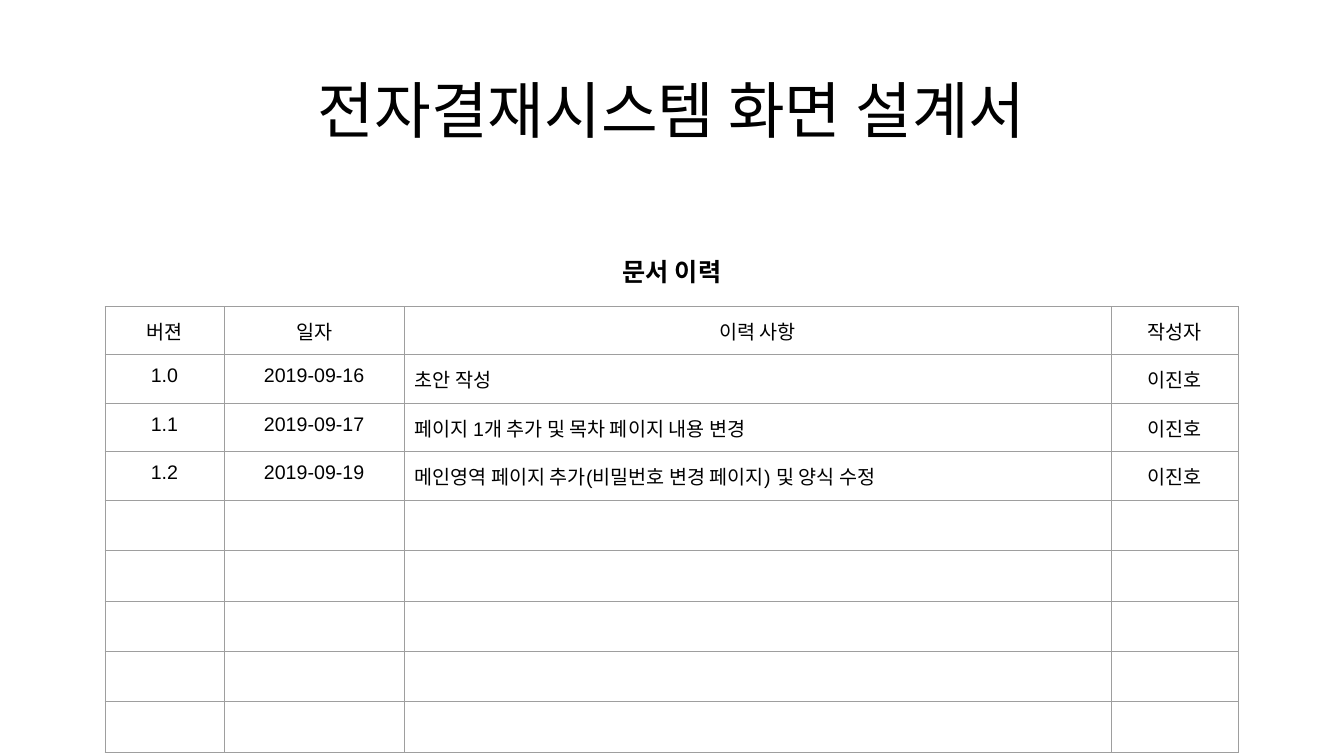
"""Build the cover slide of a screen design document with its history table."""
from dataclasses import dataclass

from lxml import etree
from pptx import Presentation
from pptx import util as u
from pptx.dml.color import RGBColor
from pptx.enum import text
from pptx.oxml import ns

BLACK = RGBColor(0x00, 0x00, 0x00)
WHITE = RGBColor(0xFF, 0xFF, 0xFF)
GREY = RGBColor(0x9E, 0x9E, 0x9E)
SANS = "Noto Sans CJK KR"
LATIN = "Arial"
CENTER = text.PP_ALIGN.CENTER
LEFT = text.PP_ALIGN.LEFT
WIDTHS = (85, 128.9, 504.7, 91.4)
ROW = 34.6
ROWS = 9
PAD = 7.2


@dataclass
class Label:
    words: str
    left: float
    top: float
    width: float
    height: float
    size: float
    pad: float = PAD
    bold: bool = False
    lead: float = 1.0


@dataclass
class Entry:
    version: str
    date: str
    note: str
    author: str

    def cells(self) -> tuple[str, ...]:
        return self.version, self.date, self.note, self.author


LABELS = (
    Label("전자결재시스템 화면 설계서", 66, 28.8, 828, 104.4, 44, pad=3.6, lead=0.9),
    Label("문서 이력", 75, 177.8, 810, 31.7, 18, bold=True),
)
HEAD = Entry("버젼", "일자", "이력 사항", "작성자")
LOG = (
    Entry("1.0", "2019-09-16", "초안 작성", "이진호"),
    Entry("1.1", "2019-09-17", "페이지 1개 추가 및 목차 페이지 내용 변경", "이진호"),
    Entry("1.2", "2019-09-19", "메인영역 페이지 추가(비밀번호 변경 페이지) 및 양식 수정", "이진호"),
)


def write(frame, words: str, *, size: float, font: str = SANS, bold: bool = False,
          align=CENTER, lead: float = 1.0) -> None:
    para = frame.paragraphs[0]
    para.alignment = align
    para.line_spacing = lead
    run = para.add_run()
    run.text = words
    run.font.size = u.Pt(size)
    run.font.name = font
    run.font.bold = bold
    run.font.color.rgb = BLACK
    props = run._r.get_or_add_rPr()
    etree.SubElement(props, ns.qn("a:ea"), typeface=SANS)


def pad(box, top: float) -> None:
    box.margin_left = box.margin_right = u.Pt(PAD)
    box.margin_top = box.margin_bottom = u.Pt(top)


def place(slide, label: Label) -> None:
    area = map(u.Pt, (label.left, label.top, label.width, label.height))
    frame = slide.shapes.add_textbox(*area).text_frame
    frame.word_wrap = True
    frame.vertical_anchor = text.MSO_ANCHOR.MIDDLE
    pad(frame, label.pad)
    write(frame, label.words, size=label.size, bold=label.bold, lead=label.lead)


def edge(cell) -> None:
    props = cell._tc.get_or_add_tcPr()
    for side in ("lnL", "lnR", "lnT", "lnB"):
        line = etree.SubElement(props, ns.qn(f"a:{side}"), w=str(u.Pt(0.75)))
        fill = etree.SubElement(line, ns.qn("a:solidFill"))
        etree.SubElement(fill, ns.qn("a:srgbClr"), val=str(GREY))


def draw(slide) -> None:
    area = map(u.Pt, (75, 218.9, sum(WIDTHS), ROW * ROWS))
    grid = slide.shapes.add_table(ROWS, len(WIDTHS), *area).table
    grid.first_row = grid.horz_banding = False
    for col, width in zip(grid.columns, WIDTHS):
        col.width = u.Pt(width)
    lines = [HEAD, *LOG]
    lines += [Entry("", "", "", "")] * (ROWS - len(lines))
    for row, (line, entry) in enumerate(zip(grid.rows, lines)):
        line.height = u.Pt(ROW)
        for col, (cell, words) in enumerate(zip(line.cells, entry.cells())):
            pad(cell, PAD)
            edge(cell)
            cell.fill.solid()
            cell.fill.fore_color.rgb = WHITE
            align = LEFT if row and col == 2 else CENTER
            write(cell.text_frame, words, size=14, font=LATIN, align=align)


def main() -> None:
    deck = Presentation()
    deck.slide_width, deck.slide_height = u.Pt(960), u.Pt(540)
    slide = deck.slides.add_slide(deck.slide_layouts[6])
    for label in LABELS:
        place(slide, label)
    draw(slide)
    deck.save("out.pptx")


if __name__ == "__main__":
    main()
